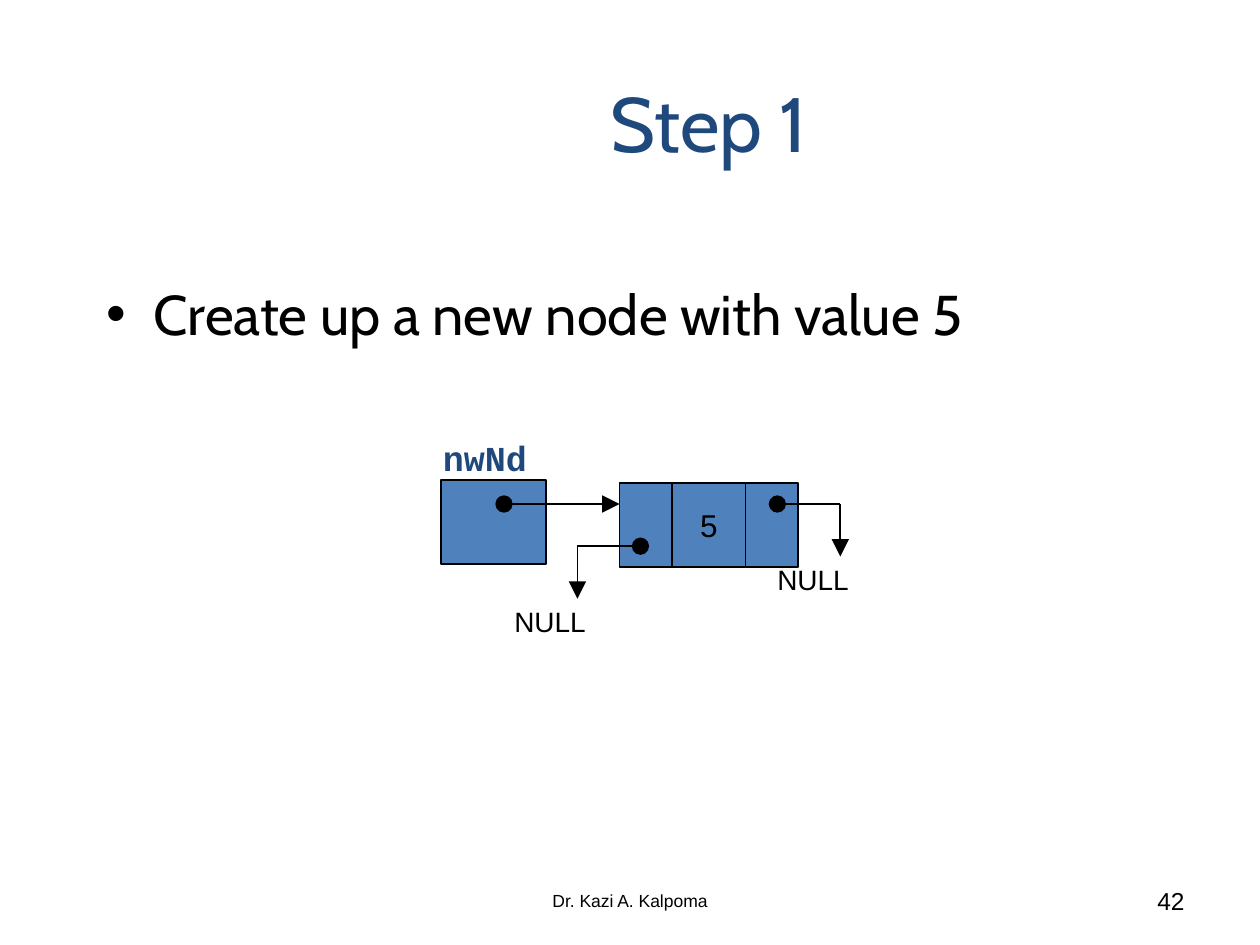
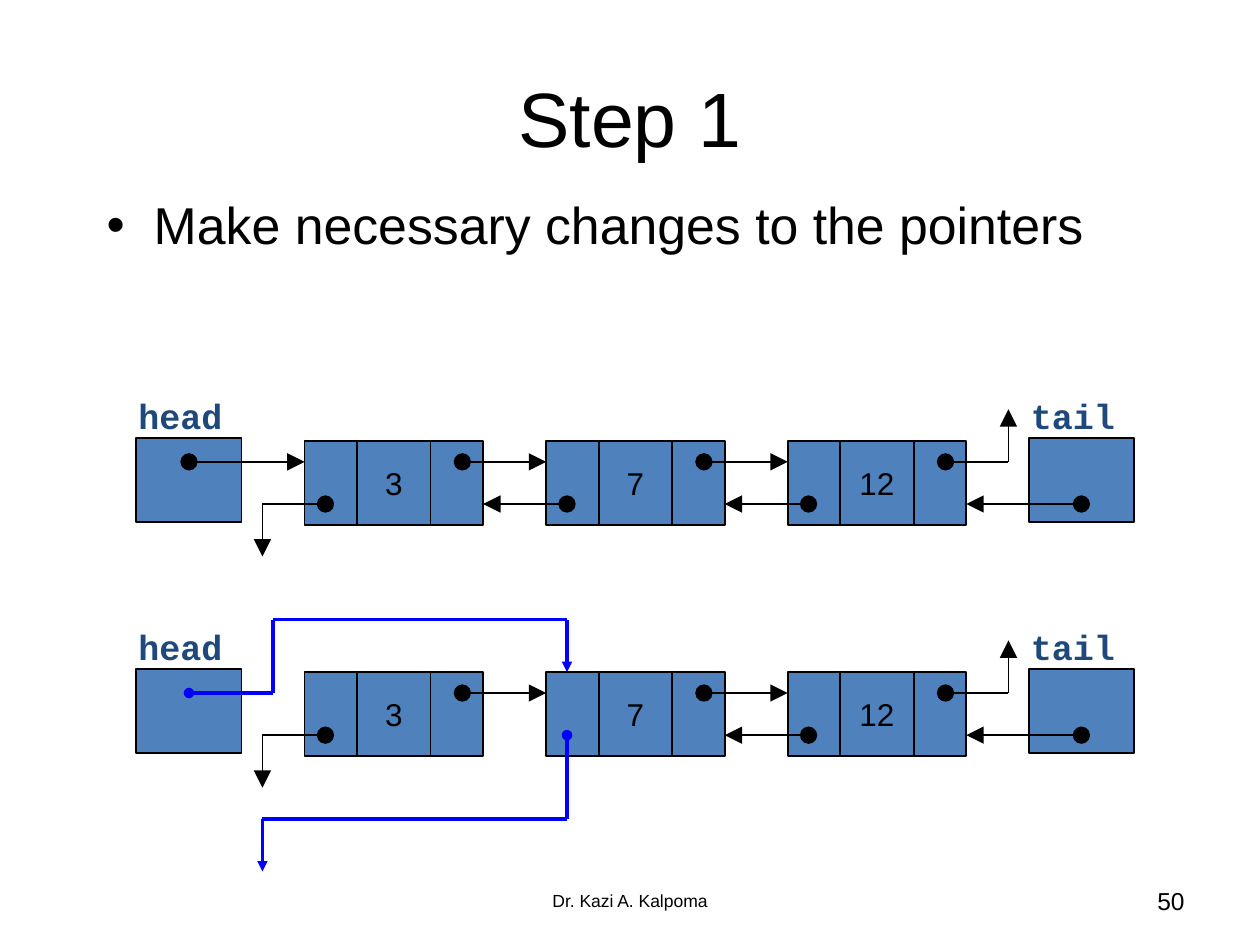
from itertools import pairwise

from lxml.etree import SubElement
from pptx import Presentation
from pptx.dml.color import RGBColor
from pptx.enum.shapes import MSO_CONNECTOR as Connector, MSO_SHAPE as Shape
from pptx.enum.text import MSO_ANCHOR as Anchor, PP_ALIGN as Align
from pptx.oxml.ns import qn
from pptx.util import Cm, Pt

BLACK = RGBColor(0x00, 0x00, 0x00)
NAVY = RGBColor(0x1F, 0x49, 0x7D)
STEEL = RGBColor(0x4F, 0x81, 0xBD)
BLUE = RGBColor(0x00, 0x00, 0xFF)

CELL_HEIGHT = 1.69
POINTER_WIDTH = 2.12
LINK_WIDTH, VALUE_WIDTH = 1.06, 1.48
NEXT_X, NEXT_Y = 3.18, 0.42
PREV_X, PREV_Y = 0.42, 1.27
NODE_WIDTH = 2 * LINK_WIDTH + VALUE_WIDTH
NODE_PITCH = 4.87
STUB = 1.06
PREV_NULL_X, NEXT_NULL_X = -0.85, 4.45


def write(frame, text, size, font="Arial", colour=BLACK, align=Align.LEFT, bold=False):
    para = frame.paragraphs[0]
    para.text = text
    para.alignment = align
    para.font.name = font
    para.font.size = Pt(size)
    para.font.bold = bold
    para.font.color.rgb = colour
    return para


def add_text(page, box, text, size, anchor=Anchor.MIDDLE, **style):
    frame = page.shapes.add_textbox(*map(Cm, box)).text_frame
    frame.word_wrap = True
    frame.vertical_anchor = anchor
    return write(frame, text, size, **style)


def add_title(page, box, text, **style):
    add_text(page, box, text, 44, align=Align.CENTER, **style)


def add_bullet(page, box, text, size, font):
    para = add_text(page, box, text, size, Anchor.TOP, font=font)
    properties = para._p.get_or_add_pPr()
    properties.set("marL", str(Cm(0.95)))
    properties.set("indent", str(Cm(-0.95)))
    bullet_font = properties.makeelement(qn("a:buFont"), {"typeface": "Arial"})
    bullet = properties.makeelement(qn("a:buChar"), {"char": "•"})
    defaults = properties.find(qn("a:defRPr"))
    defaults.addprevious(bullet_font)
    defaults.addprevious(bullet)
    return para


def add_footer(page, number):
    add_text(page, (8.68, 17.65, 8.04, 1.02), "Dr. Kazi A. Kalpoma", 10, align=Align.CENTER)
    add_text(page, (18.2, 17.65, 5.93, 1.02), number, 14, align=Align.RIGHT)


def add_cell(page, left, top, width):
    cell = page.shapes.add_shape(Shape.RECTANGLE, Cm(left), Cm(top), Cm(width), Cm(CELL_HEIGHT))
    cell.shadow.inherit = False
    cell.fill.solid()
    cell.fill.fore_color.rgb = STEEL
    cell.line.color.rgb = BLACK
    cell.line.width = Pt(1)
    return cell


def add_pointer(page, left, top, label):
    add_text(page, (left - 0.21, top - 1.06, 2.97, 1.12), label, 20, Anchor.TOP,
             font="Courier New", colour=NAVY, bold=True)
    add_cell(page, left, top - 0.06, POINTER_WIDTH)


def add_node(page, left, top, value):
    add_cell(page, left, top, LINK_WIDTH)
    frame = add_cell(page, left + LINK_WIDTH, top, VALUE_WIDTH).text_frame
    frame.word_wrap = False
    frame.vertical_anchor = Anchor.MIDDLE
    write(frame, value, 18, align=Align.CENTER)
    add_cell(page, left + LINK_WIDTH + VALUE_WIDTH, top, LINK_WIDTH)


def add_wire(page, points, colour=BLACK, width=1, end_size="lg"):
    segments = list(pairwise(points))
    for index, (start, end) in enumerate(segments):
        segment = page.shapes.add_connector(Connector.STRAIGHT, *map(Cm, start + end))
        segment.line.color.rgb = colour
        segment.line.width = Pt(width)
        properties = segment._element.spPr
        line = properties.find(qn("a:ln"))
        size = {"w": end_size, "len": end_size}
        if index == 0:
            SubElement(line, qn("a:headEnd"), {"type": "oval", **size})
        if index == len(segments) - 1:
            SubElement(line, qn("a:tailEnd"), {"type": "triangle", **size})
        SubElement(properties, qn("a:effectLst"))


def add_null_wire(page, dot, turn_x, rise):
    end = (turn_x, dot[1] + rise)
    add_wire(page, [dot, (turn_x, dot[1]), end])
    return end


def add_null_label(page, end):
    left, top = end
    add_text(page, (left - 1.52, top, 2.2, 0.94), "NULL", 16, Anchor.TOP)


def draw_new_node(page, left, top):
    node_left = left + 3.6
    add_pointer(page, left, top, "nwNd")
    add_node(page, node_left, top, "5")
    add_wire(page, [(left + 1.27, top + NEXT_Y), (node_left, top + NEXT_Y)])
    for dot_x, dot_y, turn_x in ((PREV_X, PREV_Y, PREV_NULL_X), (NEXT_X, NEXT_Y, NEXT_NULL_X)):
        end = add_null_wire(page, (node_left + dot_x, top + dot_y), node_left + turn_x, STUB)
        add_null_label(page, end)


def draw_list(page, left, top, relinked=False):
    values = ("3", "7", "12")
    lefts = [left + 3.39 + index * NODE_PITCH for index in range(len(values))]
    first, second, last = lefts
    tail_left = left + 17.99
    next_y, prev_y = top + NEXT_Y, top + PREV_Y
    head_dot = (left + POINTER_WIDTH / 2, next_y)
    second_dot = (second + PREV_X, prev_y)

    add_pointer(page, left, top, "head")
    add_pointer(page, tail_left, top, "tail")
    for node_left, value in zip(lefts, values):
        add_node(page, node_left, top, value)

    for node_left, following in pairwise(lefts):
        add_wire(page, [(node_left + NEXT_X, next_y), (following, next_y)])
    add_wire(page, [(last + PREV_X, prev_y), (second + NODE_WIDTH, prev_y)])
    add_wire(page, [(tail_left + POINTER_WIDTH / 2, prev_y), (last + NODE_WIDTH, prev_y)])
    add_null_wire(page, (first + PREV_X, prev_y), first + PREV_NULL_X, STUB)
    add_null_wire(page, (last + NEXT_X, next_y), last + NEXT_NULL_X, -STUB)

    if relinked:
        changed = {"colour": BLUE, "width": 2, "end_size": "med"}
        turn_x, upper_y, lower_y = left + 2.75, top - 1.06, top + 2.96
        null_x = first + PREV_NULL_X
        add_wire(page, [head_dot, (turn_x, next_y), (turn_x, upper_y),
                        (second_dot[0], upper_y), (second_dot[0], top)], **changed)
        add_wire(page, [second_dot, (second_dot[0], lower_y),
                        (null_x, lower_y), (null_x, lower_y + STUB)], **changed)
    else:
        add_wire(page, [head_dot, (first, next_y)])
        add_wire(page, [second_dot, (first + NODE_WIDTH, prev_y)])


def build_insert_step(page):
    add_title(page, (5.08, 0.89, 18.42, 3.12), "Step 1", font="Cabin", colour=NAVY)
    add_bullet(page, (1.9, 5.51, 21.59, 2.11), "Create up a new node with value 5", 32, "Cabin")
    draw_new_node(page, 8.89, 9.74)
    add_footer(page, "42")


def build_delete_step(page):
    add_title(page, (1.27, 0.76, 22.86, 3.18), "Step 1")
    para = add_bullet(page, (1.9, 3.91, 21.59, 2.11),
                      "Make necessary changes to the pointers", 29.6, "Arial")
    para.line_spacing = 0.9
    draw_list(page, 2.75, 8.89)
    draw_list(page, 2.75, 13.55, relinked=True)
    add_footer(page, "50")


def main():
    deck = Presentation()
    deck.slide_width, deck.slide_height = Cm(25.4), Cm(19.05)
    for build in (build_insert_step, build_delete_step):
        build(deck.slides.add_slide(deck.slide_layouts[6]))
    deck.save("out.pptx")


if __name__ == "__main__":
    main()
